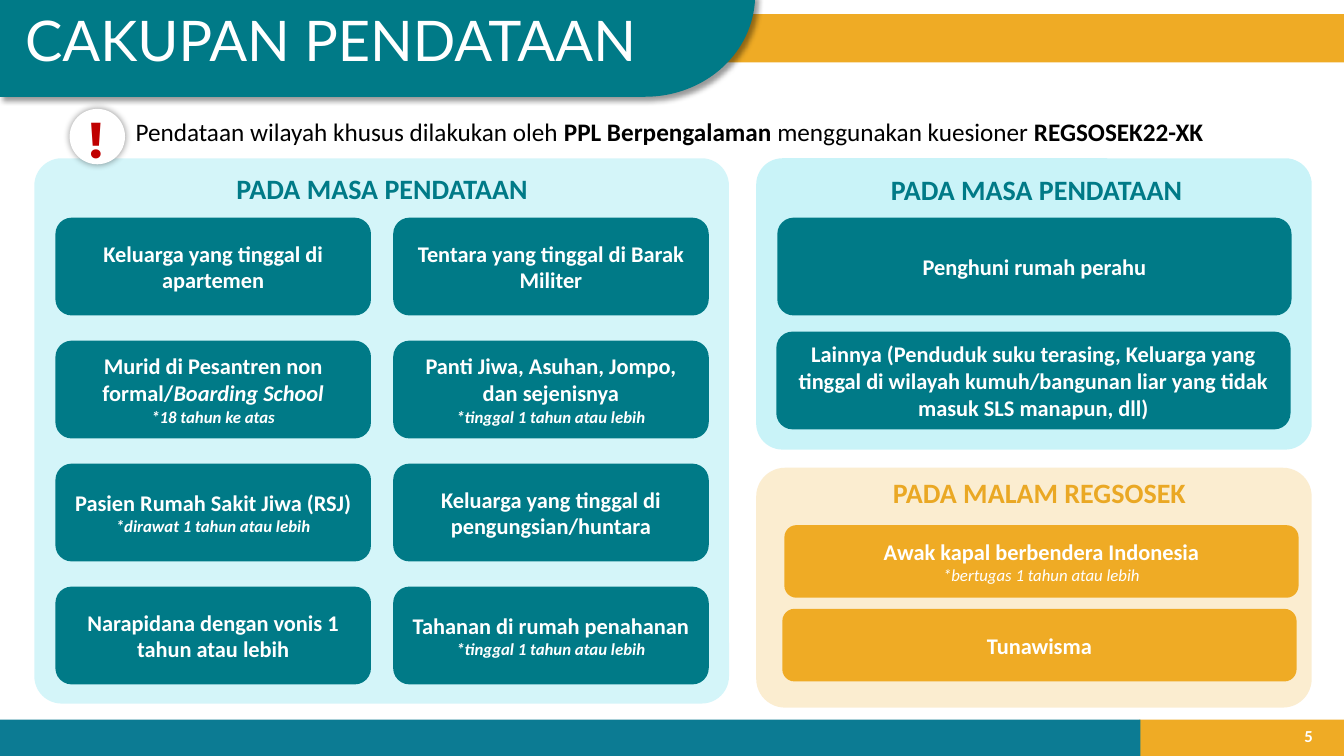
import math

import lxml.etree
import pptx
import pptx.dml.color
import pptx.enum.shapes
import pptx.enum.text
import pptx.oxml.ns
import pptx.util

Inches = pptx.util.Inches
RGBColor = pptx.dml.color.RGBColor
Shape = pptx.enum.shapes.MSO_SHAPE
Align = pptx.enum.text.PP_ALIGN
Anchor = pptx.enum.text.MSO_ANCHOR
qn = pptx.oxml.ns.qn

TEAL = RGBColor(0x00, 0x7A, 0x87)
BLUE = RGBColor(0x0C, 0x7B, 0x93)
CYAN = RGBColor(0x00, 0xC9, 0xE0)
AMBER = RGBColor(0xEF, 0xAB, 0x25)
AMBER_TEXT = RGBColor(0xEA, 0xA8, 0x24)
RED = RGBColor(0xC0, 0x00, 0x00)
WHITE = RGBColor(0xFF, 0xFF, 0xFF)
BLACK = RGBColor(0x00, 0x00, 0x00)


class SlideBuilder:
    """Draws styled elements on the current slide."""

    def __init__(self, slide, font="Calibri"):
        self.slide = slide
        self.font = font

    def paint(self, shape, color, opacity=100):
        shape.shadow.inherit = False
        shape.fill.solid()
        shape.fill.fore_color.rgb = color
        shape.line.fill.background()
        if opacity < 100:
            fill_color = shape._element.spPr.find(qn("a:solidFill"))[0]
            lxml.etree.SubElement(fill_color, qn("a:alpha"), val=str(opacity * 1000))

    def shadow(self, shape, blur, distance, angle):
        effects = shape._element.spPr.find(qn("a:effectLst"))
        outer = lxml.etree.SubElement(
            effects, qn("a:outerShdw"), blurRad=str(pptx.util.Pt(blur)),
            dist=str(pptx.util.Pt(distance)), dir=str(angle * 60000),
            algn="ctr", rotWithShape="0")
        color = lxml.etree.SubElement(outer, qn("a:srgbClr"), val="000000")
        lxml.etree.SubElement(color, qn("a:alpha"), val="40000")

    def shape(self, kind, place, color, opacity=100, corner=None):
        shape = self.slide.shapes.add_shape(kind, *map(Inches, place))
        self.paint(shape, color, opacity)
        if corner is not None:
            shape.adjustments[0] = corner
        return shape

    def set_text(self, shape, text, size, color, bold=False, align=Align.CENTER,
                 anchor=Anchor.TOP, font=None):
        frame = shape.text_frame
        frame.word_wrap = True
        frame.vertical_anchor = anchor
        frame.text = text
        for paragraph in frame.paragraphs:
            paragraph.alignment = align
            for run in paragraph.runs:
                run.font.name = font or self.font
                run.font.size = pptx.util.Pt(size)
                run.font.bold = bold
                run.font.color.rgb = color

    def text(self, place, text, size, color, **style):
        box = self.slide.shapes.add_textbox(*map(Inches, place))
        self.set_text(box, text, size, color, **style)
        return box

    def add_run(self, paragraph, text, bold=False, italic=False):
        first = paragraph.runs[0].font
        run = paragraph.add_run()
        run.text = text
        run.font.name = first.name
        run.font.size = first.size
        run.font.color.rgb = first.color.rgb
        run.font.bold = bold
        run.font.italic = italic

    def card(self, place, color, label, note=None, note_bold=True):
        card = self.shape(Shape.ROUNDED_RECTANGLE, place, color)
        text = f"{label}\n{note}" if note else label
        self.set_text(card, text, 16, WHITE, bold=True, anchor=Anchor.MIDDLE)
        if note:
            font = card.text_frame.paragraphs[1].runs[0].font
            font.size = pptx.util.Pt(12)
            font.bold = note_bold
            font.italic = True
        return card

    def panel(self, place, color, opacity, corner, heading_place, heading, heading_color):
        self.shape(Shape.ROUNDED_RECTANGLE, place, color, opacity, corner)
        self.text(heading_place, heading, 20, heading_color, bold=True)

    def title_banner(self, left, top, right, bottom, radius):
        points = [(left, top)]
        for step in range(41):
            angle = math.pi / 2 * step / 40
            points.append((right - radius + radius * math.cos(angle),
                           top + (bottom - top) * math.sin(angle)))
        points.append((left, bottom))
        points = [(Inches(x), Inches(y)) for x, y in points]
        outline = self.slide.shapes.build_freeform(*points[0])
        outline.add_line_segments(points[1:], close=True)
        banner = outline.convert_to_shape()
        self.paint(banner, TEAL)
        self.shadow(banner, 4, 3, 45)


def main():
    presentation = pptx.Presentation()
    presentation.slide_width = Inches(13.33)
    presentation.slide_height = Inches(7.5)
    slide = presentation.slides.add_slide(presentation.slide_layouts[6])
    builder = SlideBuilder(slide)

    builder.shape(Shape.RECTANGLE, (11.3, 7.14, 2.03, 0.36), AMBER)
    builder.shape(Shape.RECTANGLE, (5.05, 0.14, 8.28, 0.48), AMBER)
    builder.text((12.65, 7.1, 0.47, 0.4), "5", 12, WHITE, bold=True,
                 align=Align.RIGHT, anchor=Anchor.MIDDLE)
    builder.shape(Shape.RECTANGLE, (-0.01, 7.14, 11.32, 0.36), BLUE)
    builder.title_banner(-0.01, -0.05, 7.49, 0.96, 1.09)
    builder.text((0.15, 0.01, 7.61, 0.77), "CAKUPAN PENDATAAN", 40, WHITE,
                 align=Align.LEFT, font="Lato")

    builder.panel((0.34, 1.57, 6.89, 5.41), CYAN, 17, 0.05,
                  (1.06, 1.65, 5.46, 0.44), "PADA MASA PENDATAAN", TEAL)
    groups = [
        ("Keluarga yang tinggal di apartemen",),
        ("Tentara yang tinggal di Barak Militer",),
        ("Murid di Pesantren non formal/", "*18 tahun ke atas"),
        ("Panti Jiwa, Asuhan, Jompo, dan sejenisnya", "*tinggal 1 tahun atau lebih"),
        ("Pasien Rumah Sakit Jiwa (RSJ)", "*dirawat 1 tahun atau lebih"),
        ("Keluarga yang tinggal di pengungsian/huntara",),
        ("Narapidana dengan vonis 1 tahun atau lebih",),
        ("Tahanan di rumah penahanan", "*tinggal 1 tahun atau lebih"),
    ]
    cards = []
    for index, group in enumerate(groups):
        row, column = divmod(index, 2)
        place = (0.55 + 3.35 * column, 2.16 + 1.22 * row, 3.13, 0.97)
        cards.append(builder.card(place, TEAL, *group))
    builder.add_run(cards[2].text_frame.paragraphs[0], "Boarding School",
                    bold=True, italic=True)

    builder.panel((7.5, 1.57, 5.51, 2.89), CYAN, 21, 0.09,
                  (7.55, 1.66, 5.46, 0.44), "PADA MASA PENDATAAN", TEAL)
    builder.card((7.71, 2.16, 5.1, 0.97), TEAL, "Penghuni rumah perahu")
    builder.card((7.7, 3.29, 5.1, 0.97), TEAL,
                 "Lainnya (Penduduk suku terasing, Keluarga yang tinggal di wilayah "
                 "kumuh/bangunan liar yang tidak masuk SLS manapun, dll)")

    builder.panel((7.5, 4.64, 5.51, 2.38), AMBER, 21, 0.12,
                  (7.58, 4.67, 5.46, 0.42), "PADA MALAM REGSOSEK", AMBER_TEXT)
    builder.card((7.78, 5.21, 5.1, 0.72), AMBER, "Awak kapal berbendera Indonesia",
                 "*bertugas 1 tahun atau lebih", note_bold=False)
    builder.card((7.76, 6.04, 5.1, 0.72), AMBER, "Tunawisma")

    notice = builder.text((-0.06, 1.1, 13.4, 0.4),
                          "Pendataan wilayah khusus dilakukan oleh ", 18, BLACK)
    sentence = notice.text_frame.paragraphs[0]
    builder.add_run(sentence, "PPL Berpengalaman ", bold=True)
    builder.add_run(sentence, "menggunakan kuesioner ")
    builder.add_run(sentence, "REGSOSEK22-XK", bold=True)

    badge = builder.shape(Shape.OVAL, (0.69, 1.08, 0.55, 0.55), WHITE)
    builder.shadow(badge, 5, 0, 0)
    builder.text((0.78, 1.02, 0.42, 0.71), "!", 36, RED, bold=True,
                 align=Align.LEFT, font="Montserrat")

    presentation.save("out.pptx")


if __name__ == "__main__":
    main()
